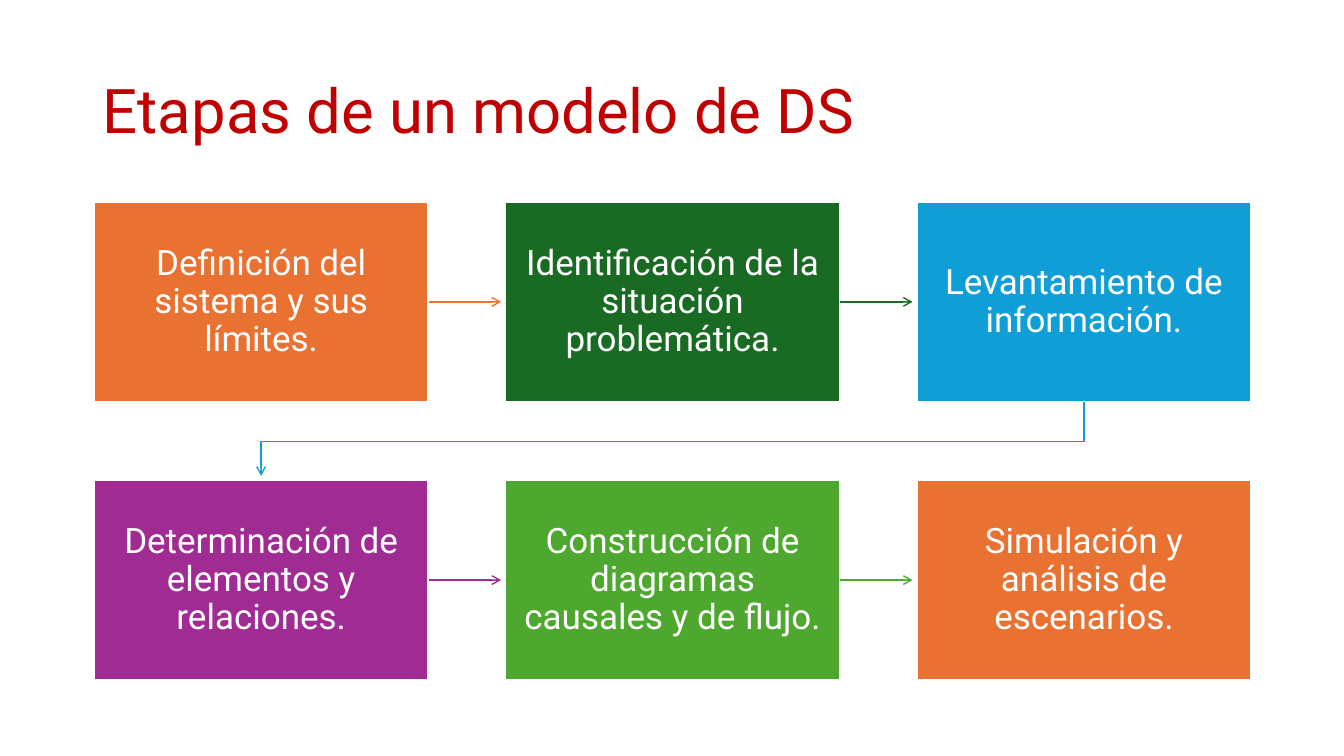
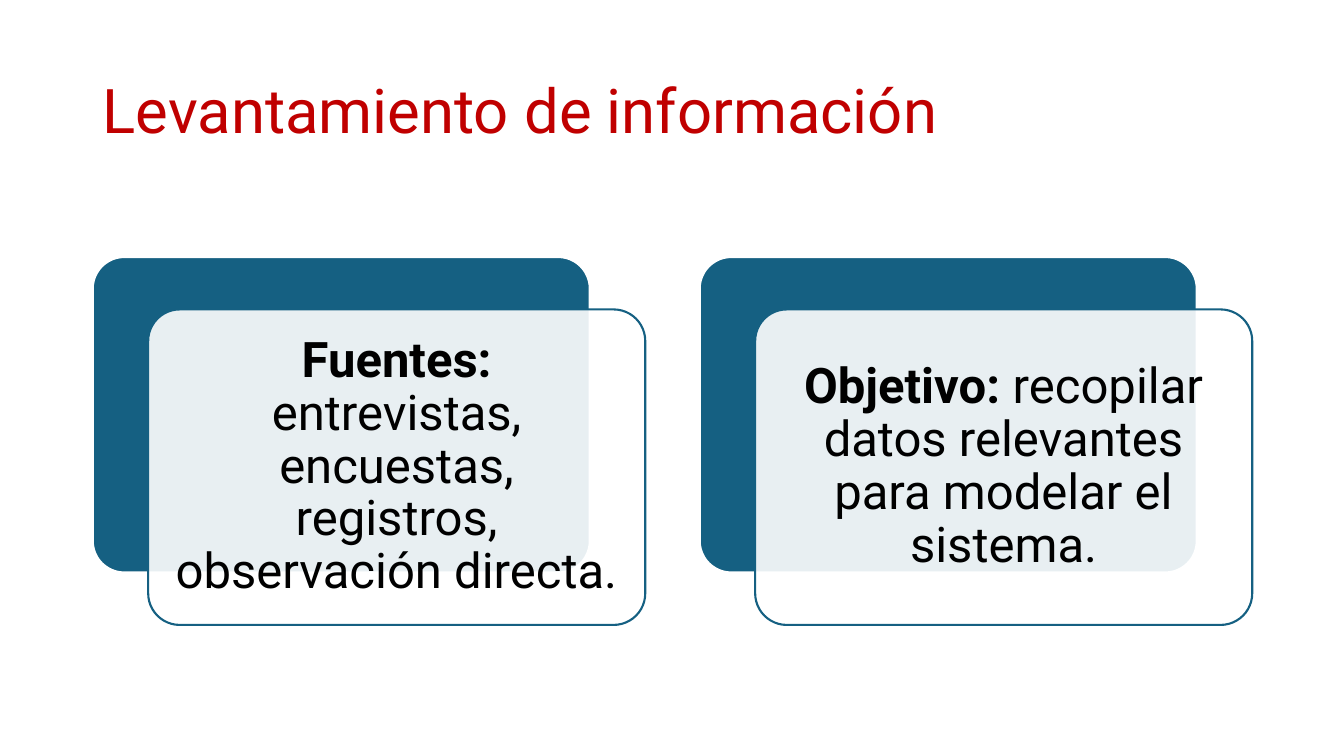
"""Build two slides on the stages of a system dynamics model."""
import pptx
import pptx.util
import pptx.dml.color
import pptx.enum.shapes
import pptx.enum.text
import pptx.oxml
import pptx.oxml.ns
from lxml import etree

Inches = pptx.util.Inches
Pt = pptx.util.Pt
RGB = pptx.dml.color.RGBColor
SHAPE = pptx.enum.shapes.MSO_SHAPE
ALIGN = pptx.enum.text.PP_ALIGN
qn = pptx.oxml.ns.qn

FONT = "Roboto"
RED = RGB(0xC0, 0x00, 0x00)
WHITE = RGB(0xFF, 0xFF, 0xFF)
BLACK = RGB(0x00, 0x00, 0x00)
ORANGE = RGB(0xE9, 0x71, 0x32)
GREEN = RGB(0x19, 0x6B, 0x24)
BLUE = RGB(0x0F, 0x9E, 0xD5)
PURPLE = RGB(0xA0, 0x2B, 0x93)
LIME = RGB(0x4E, 0xA7, 0x2E)
TEAL = RGB(0x15, 0x60, 0x82)

STAGES = [
    ("Definición del sistema y sus límites.", ORANGE),
    ("Identificación de la situación problemática.", GREEN),
    ("Levantamiento de información.", BLUE),
    ("Determinación de elementos y relaciones.", PURPLE),
    ("Construcción de diagramas causales y de flujo.", LIME),
    ("Simulación y análisis de escenarios.", ORANGE),
]
CARDS = [
    ("Fuentes: ", "entrevistas, encuestas, registros, observación directa."),
    ("Objetivo: ", "recopilar datos relevantes para modelar el sistema."),
]

COLS = 3
LEFT, TOP = Inches(0.93), Inches(2)
WIDE, HIGH = Inches(3.32), Inches(1.99)
STEP, DROP = Inches(4.08), Inches(2.76)
GAP = Inches(0.04)
TURN = Inches(4.38)

CARD_LEFT, CARD_TOP = Inches(0.92), Inches(2.55)
CARD_WIDE, CARD_HIGH = Inches(4.93), Inches(3.13)
CARD_STEP = Inches(6.02)
SHIFT_X, SHIFT_Y = Inches(0.55), Inches(0.52)


def style(para, size, color, align):
    """Format a paragraph and its runs."""
    para.alignment = align
    para.line_spacing = 0.9
    for run in para.runs:
        run.font.name = FONT
        run.font.size = Pt(size)
        run.font.color.rgb = color


def add_slide(deck, text):
    """Add a slide with the shared title style."""
    slide = deck.slides.add_slide(deck.slide_layouts[5])
    title = slide.shapes.title
    title.left, title.top = Inches(0.92), Inches(0.4)
    title.width, title.height = Inches(11.5), Inches(1.45)
    frame = title.text_frame
    frame.text = text
    frame.auto_size = pptx.enum.text.MSO_AUTO_SIZE.NONE
    frame.vertical_anchor = pptx.enum.text.MSO_ANCHOR.MIDDLE
    style(frame.paragraphs[0], 44, RED, ALIGN.LEFT)
    return slide


def add_box(slide, kind, place, fill, edge):
    """Add a filled and outlined shape."""
    box = slide.shapes.add_shape(kind, *place)
    box.shadow.inherit = False
    box.fill.solid()
    box.fill.fore_color.rgb = fill
    box.line.color.rgb = edge
    box.line.width = Pt(1.5)
    return box


def set_frame(box, inset):
    """Prepare the text frame of a box and return it."""
    frame = box.text_frame
    frame.word_wrap = True
    frame.vertical_anchor = pptx.enum.text.MSO_ANCHOR.MIDDLE
    frame.margin_left = frame.margin_right = inset
    frame.margin_top = frame.margin_bottom = inset
    return frame


def set_arrow(link, color):
    """Give a line its colour and an open arrowhead."""
    link.line.color.rgb = color
    link.line.width = Pt(1)
    line = link.line._get_or_add_ln()
    etree.SubElement(line, qn("a:tailEnd"), type="arrow")


def add_stages(deck):
    """Add the slide with the stages in a grid."""
    slide = add_slide(deck, "Etapas de un modelo de DS")
    boxes = []
    for i, (text, color) in enumerate(STAGES):
        row, col = divmod(i, COLS)
        place = LEFT + col * STEP, TOP + row * DROP, WIDE, HIGH
        box = add_box(slide, SHAPE.RECTANGLE, place, color, WHITE)
        frame = set_frame(box, Inches(0.19))
        frame.text = text
        style(frame.paragraphs[0], 25, WHITE, ALIGN.CENTER)
        boxes.append(box)
    for i, (box, after) in enumerate(zip(boxes, boxes[1:])):
        color = STAGES[i][1]
        if box.top == after.top:
            mid = box.top + HIGH // 2
            link = slide.shapes.add_connector(
                pptx.enum.shapes.MSO_CONNECTOR.STRAIGHT,
                box.left + WIDE, mid, after.left - GAP, mid)
            link.begin_connect(box, 3)
            set_arrow(link, color)
            etree.SubElement(link._element.spPr, qn("a:effectLst"))
        else:
            start, end = box.left + WIDE // 2, after.left + WIDE // 2
            pen = slide.shapes.build_freeform(start, box.top + HIGH)
            pen.add_line_segments(
                [(start, TURN), (end, TURN), (end, after.top - GAP)],
                close=False)
            link = pen.convert_to_shape()
            link.shadow.inherit = False
            link.fill.background()
            set_arrow(link, color)


def add_cards(deck):
    """Add the slide with the layered cards."""
    slide = add_slide(deck, "Levantamiento de información")
    for i, (head, body) in enumerate(CARDS):
        x = CARD_LEFT + i * CARD_STEP
        back = add_box(slide, SHAPE.ROUNDED_RECTANGLE,
                       (x, CARD_TOP, CARD_WIDE, CARD_HIGH), TEAL, WHITE)
        front = add_box(slide, SHAPE.ROUNDED_RECTANGLE,
                        (x + SHIFT_X, CARD_TOP + SHIFT_Y, CARD_WIDE, CARD_HIGH),
                        WHITE, TEAL)
        back.adjustments[0] = front.adjustments[0] = 0.1
        tint = front._element.spPr.find(qn("a:solidFill"))[0]
        etree.SubElement(tint, qn("a:alpha"), val="90000")
        para = set_frame(front, Inches(0.15)).paragraphs[0]
        para.text = head
        para.runs[0].font.bold = True
        para.add_run().text = body
        style(para, 35, BLACK, ALIGN.CENTER)


def main():
    """Build and save the deck."""
    deck = pptx.Presentation()
    deck.slide_width, deck.slide_height = Inches(13.33), Inches(7.5)
    add_stages(deck)
    add_cards(deck)
    deck.save("out.pptx")


if __name__ == "__main__":
    main()
